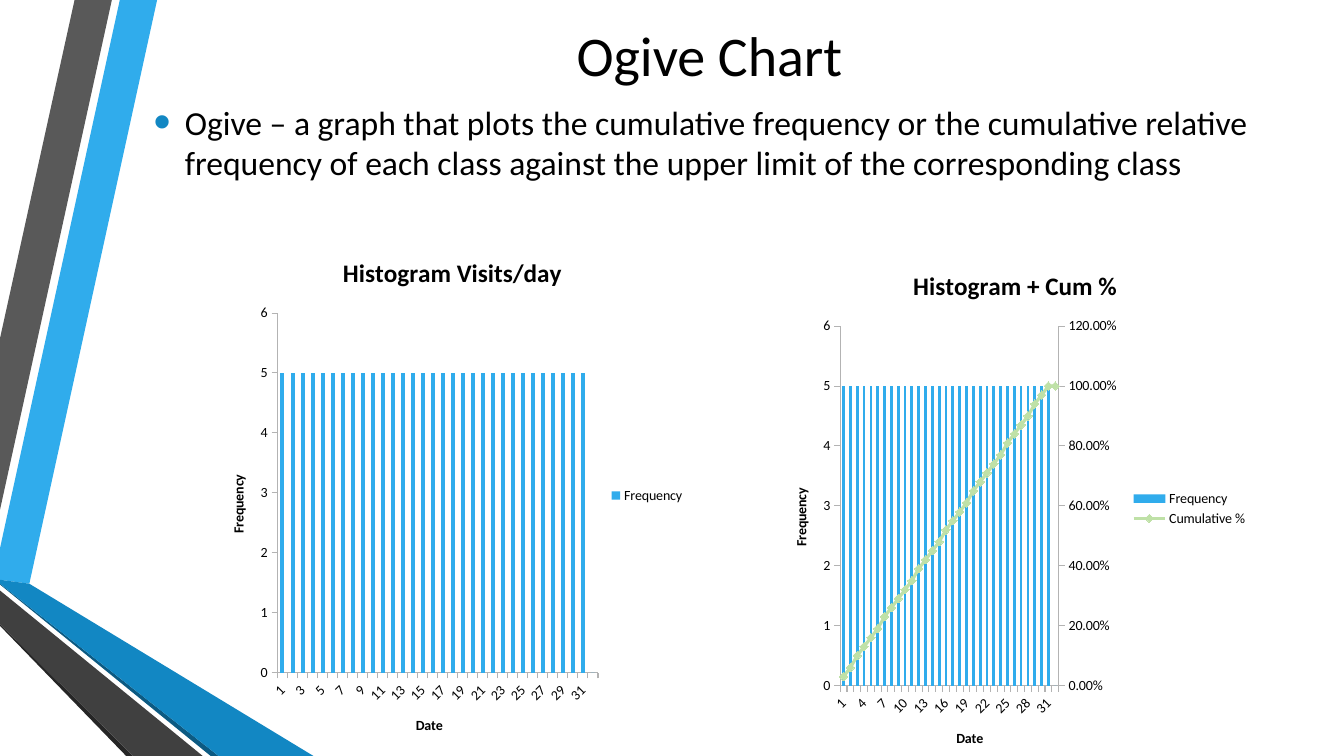
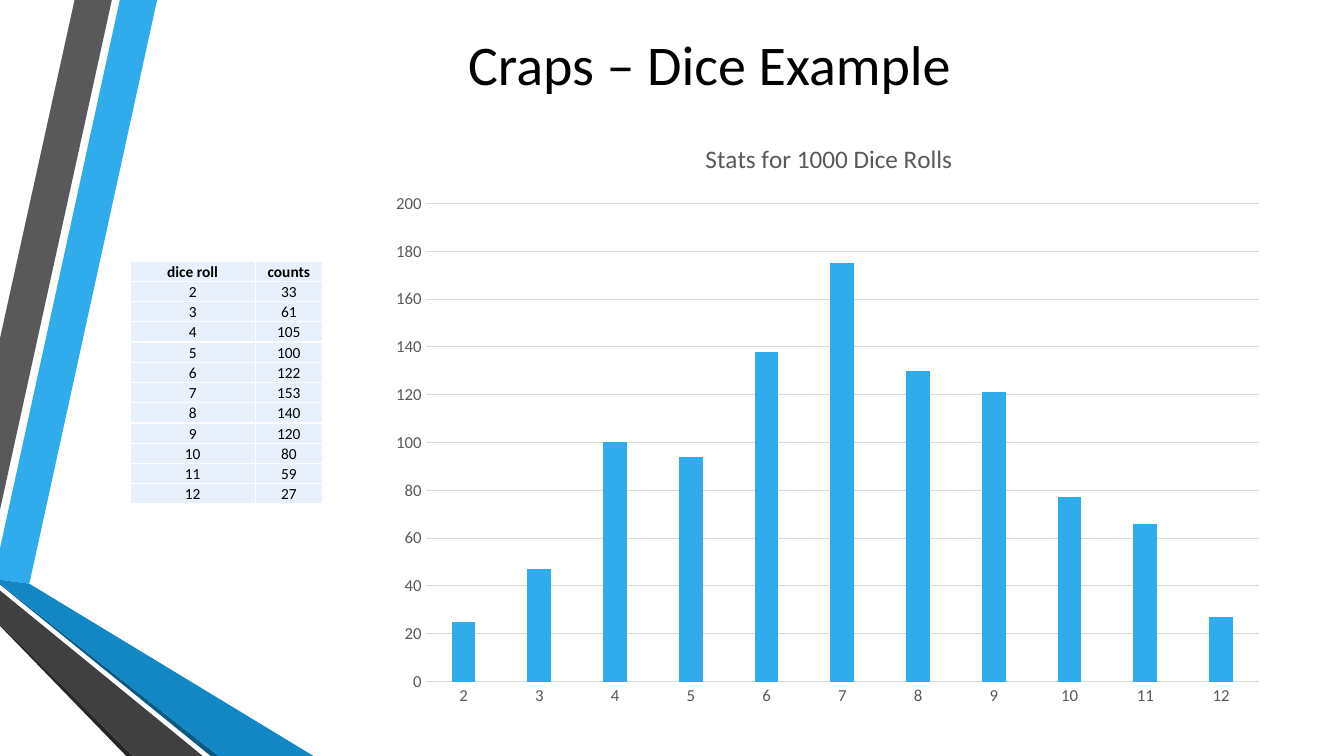
from pptx import Presentation
from pptx.chart.data import CategoryChartData
from pptx.dml.color import RGBColor
from pptx.enum.chart import XL_CHART_TYPE, XL_LEGEND_POSITION, XL_MARKER_STYLE, XL_TICK_MARK
from pptx.enum.text import MSO_ANCHOR, PP_ALIGN
from pptx.oxml import parse_xml
from pptx.oxml.ns import nsdecls
from pptx.util import Cm, Pt

FONT = "Calibri"
BLACK = RGBColor(0x00, 0x00, 0x00)
WHITE = RGBColor(0xFF, 0xFF, 0xFF)
BLUE = RGBColor(0x30, 0xAC, 0xEC)
MID_BLUE = RGBColor(0x12, 0x87, 0xC3)
DEEP_BLUE = RGBColor(0x0C, 0x5A, 0x82)
GREEN = RGBColor(0x80, 0xC3, 0x4F)
CELL_BLUE = RGBColor(0xE8, 0xF1, 0xFB)
GREY = RGBColor(0x59, 0x59, 0x59)
DARK_GREY = RGBColor(0x40, 0x40, 0x40)
DARKER_GREY = RGBColor(0x26, 0x26, 0x26)
AXIS_GREY = RGBColor(0xB3, 0xB3, 0xB3)
GRID_GREY = RGBColor(0xD9, 0xD9, 0xD9)

# Outlines of the ribbon at the left edge, in cm
BANDS = [
    (BLUE, [(0, 13.82), (0, 14.61), (0.74, 14.71), (3.96, 0), (3.02, 0)]),
    (GREY, [(2.82, 0), (1.88, 0), (0, 8.53), (0, 12.85)]),
    (DARKER_GREY, [(0, 15.72), (0, 15.77), (3.18, 19.05), (3.35, 19.05)]),
    (DEEP_BLUE, [(0, 14.71), (0, 14.73), (5.31, 19.05), (5.51, 19.05)]),
    (MID_BLUE, [(0, 14.71), (5.51, 19.05), (7.9, 19.05), (0.74, 14.71), (0, 14.61)]),
    (DARK_GREY, [(0, 15.72), (3.35, 19.05), (5.11, 19.05), (0, 14.88)]),
]

OGIVE_TITLE = "Ogive Chart"
OGIVE_TEXT = ("Ogive – a graph that plots the cumulative frequency or the cumulative "
              "relative frequency of each class against the upper limit of the "
              "corresponding class")
DAYS = 31
DAY_LABELS = [str(d) for d in range(1, DAYS + 1)] + ["More"]
FREQUENCY = ("Frequency", [5] * DAYS + [0], "General")
CUMULATIVE = ("Cumulative %", [round(d / DAYS, 2) for d in range(1, DAYS + 1)] + [1], "0.00%")

DICE_TITLE = "Craps – Dice Example"
ROLLS = [str(n) for n in range(2, 13)]
DICE_SERIES = ("Series 1", [25, 47, 100, 94, 138, 175, 130, 121, 77, 66, 27], "General")
TABLE_COUNTS = [33, 61, 105, 100, 122, 153, 140, 120, 80, 59, 27]
DICE_ROWS = [("dice roll", "counts")] + list(zip(ROLLS, map(str, TABLE_COUNTS)))
COLUMN_WIDTHS = (3.15, 1.7)
ROW_HEIGHT = 0.51


def style_font(font, size, color=BLACK, bold=False):
    font.name, font.size, font.bold = FONT, Pt(size), bold
    font.color.rgb = color


def add_bands(slide, layout):
    """Draw the ribbon and move it to the layout that all slides share."""
    for color, points in BANDS:
        corners = [(Cm(x), Cm(y)) for x, y in points]
        builder = slide.shapes.build_freeform(*corners[0])
        builder.add_line_segments(corners[1:], close=True)
        s = builder.convert_to_shape()
        s.shadow.inherit = False
        s.fill.solid()
        s.fill.fore_color.rgb = color
        s.line.fill.background()
        layout.shapes.element.append(s.element)


def add_text(slide, text, top, height, size):
    tf = slide.shapes.add_textbox(Cm(3.62), Cm(top), Cm(28.52), Cm(height)).text_frame
    tf.word_wrap = True
    p = tf.paragraphs[0]
    p.text = text
    style_font(p.runs[0].font, size)
    return tf


def add_title(slide, text, top):
    tf = add_text(slide, text, top, 2.74, 40)
    tf.vertical_anchor = MSO_ANCHOR.MIDDLE
    tf.paragraphs[0].alignment = PP_ALIGN.CENTER


def add_bullet_text(slide, text):
    p = add_text(slide, text, 2.44, 14.22, 24).paragraphs[0]
    p.space_before, p.space_after = Pt(4.8), Pt(6)
    pPr = p._p.get_or_add_pPr()
    pPr.set("marL", str(Cm(0.79)))
    pPr.set("indent", str(-Cm(0.79)))
    for xml in (f'<a:buClr {nsdecls("a")}><a:srgbClr val="{MID_BLUE}"/></a:buClr>',
                f'<a:buSzPct {nsdecls("a")} val="145000"/>',
                f'<a:buFont {nsdecls("a")} typeface="Arial"/>',
                f'<a:buChar {nsdecls("a")} char="•"/>'):
        pPr.append(parse_xml(xml))


def place_plot(chart, x, y, w, h):
    """Fix the inner plot area, in fractions of the chart."""
    area = chart.element.xpath(".//c:plotArea")[0]
    for old in area.xpath("c:layout"):
        area.remove(old)
    sizes = "".join(f'<c:{k} val="{v}"/>' for k, v in zip("xywh", (x, y, w, h)))
    area.insert(0, parse_xml(
        f'<c:layout {nsdecls("c")}><c:manualLayout><c:layoutTarget val="inner"/>'
        f'<c:xMode val="edge"/><c:yMode val="edge"/>{sizes}</c:manualLayout></c:layout>'))


def add_column_chart(slide, box, title, title_color, title_bold, categories, series, gap, plot_box):
    data = CategoryChartData()
    data.categories = categories
    for name, values, number_format in series:
        data.add_series(name, values, number_format)
    chart = slide.shapes.add_chart(
        XL_CHART_TYPE.COLUMN_CLUSTERED, *map(Cm, box), data).chart
    style_font(chart.font, 10)
    chart.has_title = True
    chart.chart_title.include_in_layout = False
    tf = chart.chart_title.text_frame
    tf.text = title
    style_font(tf.paragraphs[0].runs[0].font, 18, title_color, title_bold)
    chart.has_legend = False
    plot = chart.plots[0]
    plot.gap_width = gap
    plot.vary_by_categories = False
    fill = plot.series[0].format.fill
    fill.solid()
    fill.fore_color.rgb = BLUE
    place_plot(chart, *plot_box)
    return chart


def add_histogram(slide, left, top, title, series, plot_width):
    chart = add_column_chart(slide, (left, top, 12.24, 13.13), title, BLACK, True,
                             DAY_LABELS, series, 150, (0.14, 0.15, plot_width, 0.69))
    for axis, name in ((chart.category_axis, "Date"), (chart.value_axis, "Frequency")):
        axis.has_title = True
        tf = axis.axis_title.text_frame
        tf.text = name
        style_font(tf.paragraphs[0].runs[0].font, 10, bold=True)
        axis.major_tick_mark = XL_TICK_MARK.OUTSIDE
        axis.has_major_gridlines = False
        axis.format.line.color.rgb = AXIS_GREY
        style_font(axis.tick_labels.font, 10)
    scale = chart.value_axis
    scale.minimum_scale, scale.maximum_scale, scale.major_unit = 0, 6, 1
    for target, angle in (("c:valAx/c:title", -90), ("c:catAx/c:txPr", -45)):
        body = chart.element.xpath(f".//{target}//a:bodyPr")[0]
        body.set("rot", str(angle * 60000))
        body.set("vert", "horz")
    chart.has_legend = True
    chart.legend.position = XL_LEGEND_POSITION.RIGHT
    chart.legend.include_in_layout = False
    style_font(chart.legend.font, 10)
    return chart


def move_to_right_axis(chart):
    """Turn the second series into a line on its own percentage axis."""
    bar = chart.element.xpath(".//c:barChart")[0]
    ser = bar.xpath("c:ser")[1]
    for flag in ser.xpath("c:invertIfNegative"):
        ser.remove(flag)
    line = parse_xml(
        f'<c:lineChart {nsdecls("c")}><c:grouping val="standard"/><c:varyColors val="0"/>'
        '<c:marker val="1"/><c:axId val="5001"/><c:axId val="5002"/></c:lineChart>')
    line.insert(2, ser)
    bar.addnext(line)
    right_axis = parse_xml(
        f'<c:valAx {nsdecls("c", "a")}><c:axId val="5002"/><c:scaling>'
        '<c:orientation val="minMax"/><c:max val="1.2"/><c:min val="0"/></c:scaling>'
        '<c:delete val="0"/><c:axPos val="r"/>'
        '<c:numFmt formatCode="0.00%" sourceLinked="0"/><c:majorTickMark val="out"/>'
        '<c:minorTickMark val="none"/><c:tickLblPos val="nextTo"/>'
        f'<c:spPr><a:ln><a:solidFill><a:srgbClr val="{AXIS_GREY}"/></a:solidFill></a:ln></c:spPr>'
        '<c:crossAx val="5001"/><c:crosses val="max"/><c:majorUnit val="0.2"/></c:valAx>')
    hidden_axis = parse_xml(
        f'<c:catAx {nsdecls("c")}><c:axId val="5001"/><c:scaling>'
        '<c:orientation val="minMax"/></c:scaling><c:delete val="1"/><c:axPos val="b"/>'
        '<c:crossAx val="5002"/><c:crosses val="autoZero"/></c:catAx>')
    left_axis = chart.element.xpath(".//c:valAx")[0]
    left_axis.addnext(right_axis)
    right_axis.addnext(hidden_axis)

    curve = chart.plots[1].series[0]
    curve.smooth = False
    curve.format.line.width = Pt(2.25)
    curve.marker.style = XL_MARKER_STYLE.DIAMOND
    curve.marker.size = 6
    curve.marker.format.fill.solid()
    for color in (curve.format.line.color, curve.marker.format.fill.fore_color,
                  curve.marker.format.line.color):
        color.rgb = GREEN
        color.brightness = 0.5


def add_dice_chart(slide):
    chart = add_column_chart(slide, (9.6, 3.02, 22.58, 15.06), "Stats for 1000 Dice Rolls",
                             GREY, False, ROLLS, [DICE_SERIES], 219, (0.05, 0.14, 0.93, 0.8))
    chart.plots[0].overlap = -27
    for axis in (chart.category_axis, chart.value_axis):
        axis.major_tick_mark = XL_TICK_MARK.NONE
        style_font(axis.tick_labels.font, 12, GREY)
    scale = chart.value_axis
    scale.minimum_scale, scale.maximum_scale, scale.major_unit = 0, 200, 20
    scale.format.line.fill.background()
    for line in (chart.category_axis.format.line, scale.major_gridlines.format.line):
        line.color.rgb = GRID_GREY
        line.width = Pt(0.75)


def add_borders(cell):
    tcPr = cell._tc.get_or_add_tcPr()
    for i, side in enumerate(("lnL", "lnR", "lnT", "lnB")):
        tcPr.insert(i, parse_xml(
            f'<a:{side} {nsdecls("a")} w="{Pt(1)}"><a:solidFill>'
            f'<a:srgbClr val="{WHITE}"/></a:solidFill></a:{side}>'))


def add_dice_table(slide):
    table = slide.shapes.add_table(
        len(DICE_ROWS), len(COLUMN_WIDTHS), Cm(3.28), Cm(6.58),
        Cm(sum(COLUMN_WIDTHS)), Cm(ROW_HEIGHT * len(DICE_ROWS))).table
    table.horz_banding = False
    table.first_row = False
    for column, width in zip(table.columns, COLUMN_WIDTHS):
        column.width = Cm(width)
    for r, row in enumerate(DICE_ROWS):
        table.rows[r].height = Cm(ROW_HEIGHT)
        for c, text in enumerate(row):
            cell = table.cell(r, c)
            cell.margin_left = cell.margin_right = cell.margin_top = Cm(0.03)
            cell.margin_bottom = 0
            cell.vertical_anchor = MSO_ANCHOR.BOTTOM
            cell.fill.solid()
            cell.fill.fore_color.rgb = CELL_BLUE
            add_borders(cell)
            p = cell.text_frame.paragraphs[0]
            p.text = text
            p.alignment = PP_ALIGN.CENTER
            style_font(p.runs[0].font, 11, bold=r == 0)


def main():
    prs = Presentation()
    prs.slide_width, prs.slide_height = Cm(33.87), Cm(19.05)
    blank = prs.slide_layouts[6]

    ogive = prs.slides.add_slide(blank)
    add_bands(ogive, blank)
    add_title(ogive, OGIVE_TITLE, 0)
    add_bullet_text(ogive, OGIVE_TEXT)
    add_histogram(ogive, 5.28, 5.92, "Histogram Visits/day", [FREQUENCY], 0.66)
    combined = add_histogram(ogive, 19.46, 6.25, "Histogram + Cum %",
                             [FREQUENCY, CUMULATIVE], 0.45)
    move_to_right_axis(combined)

    dice = prs.slides.add_slide(blank)
    add_title(dice, DICE_TITLE, 0.23)
    add_dice_chart(dice)
    add_dice_table(dice)

    prs.save("out.pptx")


if __name__ == "__main__":
    main()
